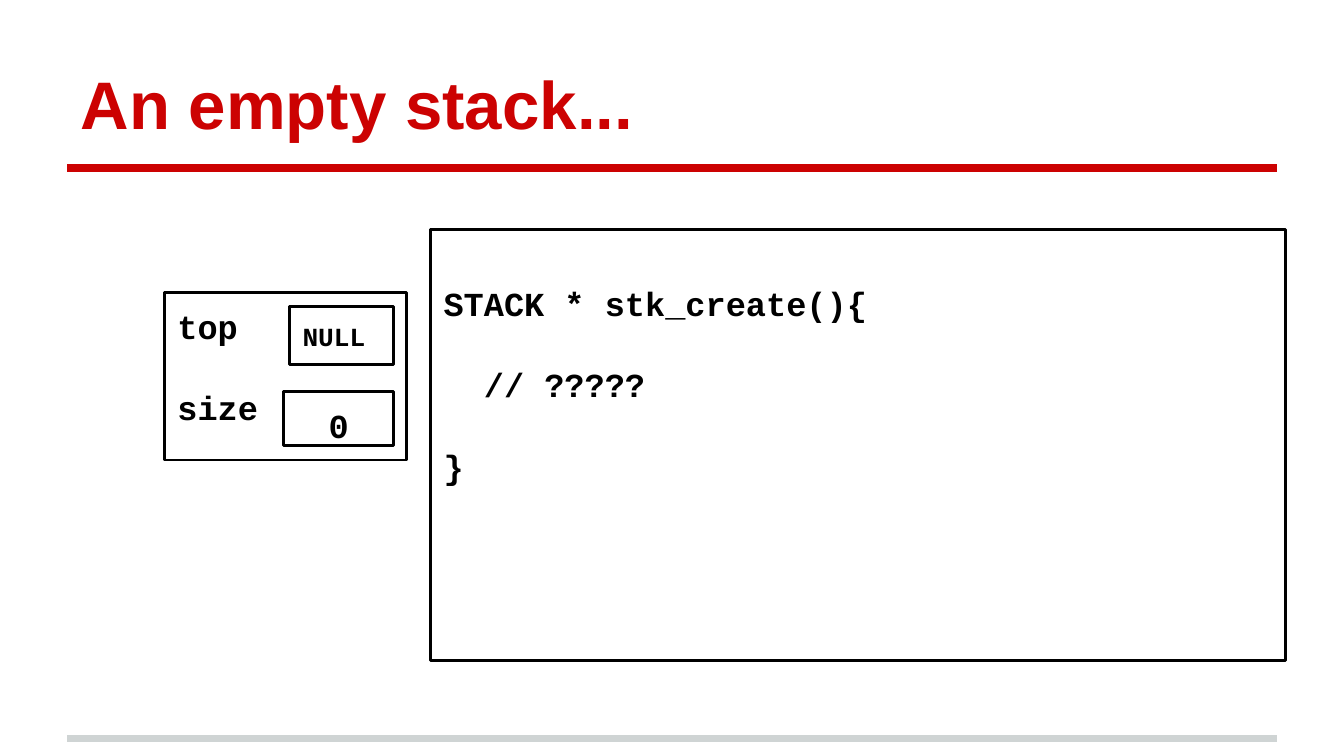
from pptx import Presentation
from pptx.dml.color import RGBColor as Rgb
from pptx.enum.shapes import MSO_CONNECTOR as Conn, MSO_SHAPE as Kind
from pptx.enum.text import MSO_ANCHOR as Anchor, MSO_AUTO_SIZE as Fit, PP_ALIGN as Align
from pptx.oxml.ns import qn
from pptx.util import Pt
from lxml.etree import SubElement as Sub

HUES = {"red": "CC0202", "gray": "CFD4D4", "ink": "000000"}
INSET = 7.2
LEFT, WIDE = 36, 648
GAP = 22.2  # space between code lines
TAB = 21.6  # two code characters


def hue(name):
    return Rgb.from_string(HUES[name])


def style(font, face, size, color):
    font.name, font.size, font.bold = face, Pt(size), True
    font.color.rgb = hue(color)


def pad(frame, top=INSET, base=INSET):
    frame.margin_left = frame.margin_right = Pt(INSET)
    frame.margin_top, frame.margin_bottom = Pt(top), Pt(base)
    frame.word_wrap, frame.auto_size = True, Fit.NONE


def add_title(slide, text):
    title = slide.shapes.title
    title.left, title.top = Pt(LEFT), Pt(16.2)
    title.width, title.height = Pt(WIDE), Pt(67.7)
    frame = title.text_frame
    pad(frame)
    frame.vertical_anchor = Anchor.BOTTOM
    frame.text = text
    para = frame.paragraphs[0]
    para.alignment = Align.LEFT
    style(para.font, "Arial", 36, "red")


def add_rule(slide, y, color):
    rule = slide.shapes.add_connector(
        Conn.STRAIGHT, Pt(LEFT), Pt(y), Pt(LEFT + WIDE), Pt(y))
    rule.line.color.rgb, rule.line.width = hue(color), Pt(4)
    Sub(rule._element.spPr, qn("a:effectLst"))


def add_box(slide, area, lines, top=INSET, size=18, align=Align.LEFT):
    """Outlined box of code; each line is a (text, indent) pair."""
    box = slide.shapes.add_shape(Kind.RECTANGLE, *map(Pt, area))
    box.shadow.inherit = False
    box.fill.background()
    box.line.color.rgb, box.line.width = hue("ink"), Pt(1.5)
    frame = box.text_frame
    pad(frame, top, 0)
    frame.vertical_anchor = Anchor.TOP
    for i, (text, indent) in enumerate(lines):
        para = frame.add_paragraph() if i else frame.paragraphs[0]
        para.text, para.alignment = text, align
        style(para.font, "Courier New", size, "ink")
        if i:
            para.space_before = Pt(GAP)
        if indent:
            para._p.get_or_add_pPr().set("marL", str(Pt(indent)))


def main():
    deck = Presentation()
    deck.slide_width, deck.slide_height = Pt(720), Pt(405)
    slide = deck.slides.add_slide(deck.slide_layouts[5])

    # Title and rules
    add_rule(slide, 395.6, "gray")
    add_rule(slide, 90, "red")
    add_title(slide, "An empty stack...")

    # Code panel
    code = [("STACK * stk_create(){", 0), ("// ?????", TAB), ("}", 0)]
    add_box(slide, (230.5, 123, 458, 231), code, top=28.4)

    # Stack record and its fields
    add_box(slide, (88, 156.5, 130, 90), [("top", 0), ("size", 0)])
    add_box(slide, (155, 164.2, 56, 31), [("NULL", 0)], size=14)
    add_box(slide, (152, 209.6, 59, 29), [("0", 0)], align=Align.CENTER)

    deck.save("out.pptx")


if __name__ == "__main__":
    main()
